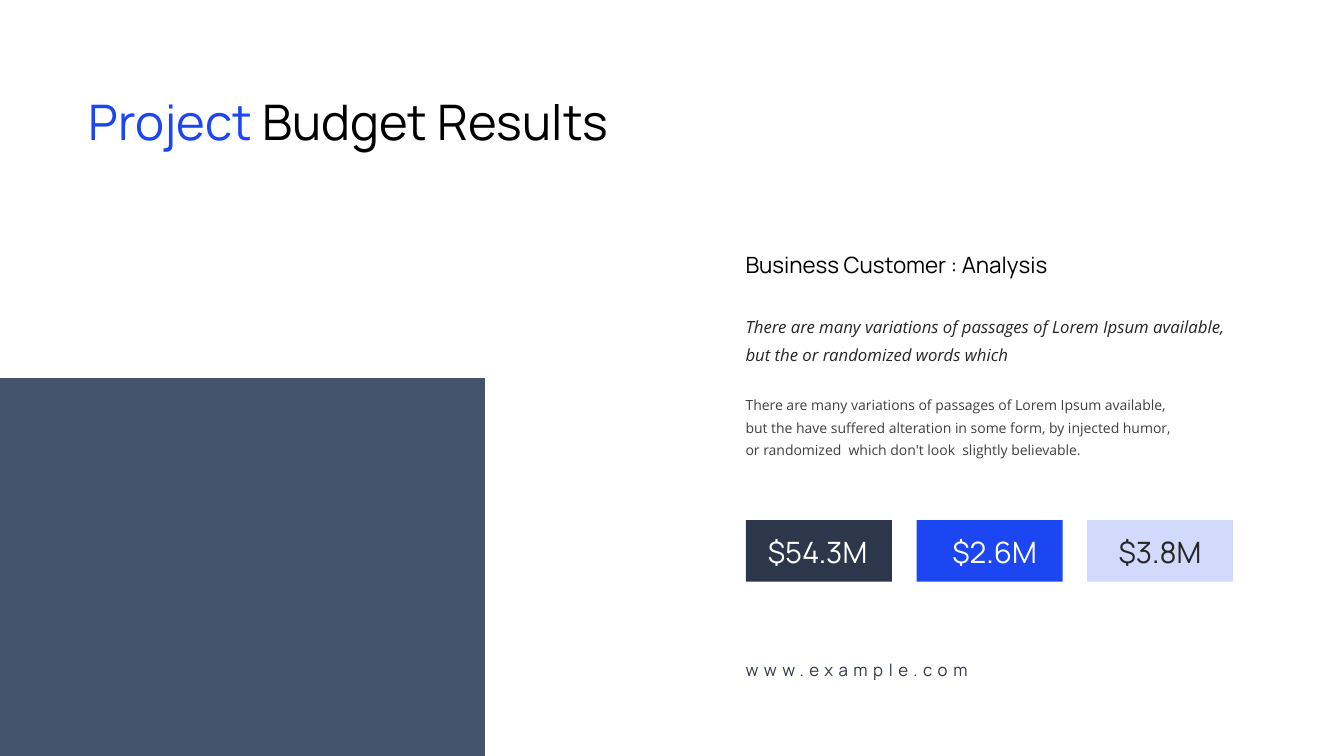
from dataclasses import dataclass

from pptx import Presentation
from pptx.dml.color import RGBColor
from pptx.enum.shapes import MSO_SHAPE
from pptx.enum.text import MSO_ANCHOR, MSO_AUTO_SIZE, PP_ALIGN
from pptx.shapes.autoshape import Shape
from pptx.slide import Slide
from pptx.util import Cm, Pt

HEADING_FONT = "Manrope"
BODY_FONT = "Open Sans"

WHITE = RGBColor(0xFF, 0xFF, 0xFF)
BLACK = RGBColor(0x00, 0x00, 0x00)
BLUE = RGBColor(0x1C, 0x46, 0xF2)
PALE_BLUE = RGBColor(0xD2, 0xDA, 0xFC)
NAVY = RGBColor(0x2D, 0x37, 0x4B)
SLATE = RGBColor(0x44, 0x54, 0x6A)
CHARCOAL = RGBColor(0x26, 0x26, 0x26)
GREY = RGBColor(0x40, 0x40, 0x40)

SLIDE_WIDTH, SLIDE_HEIGHT = 33.87, 19.05
COLUMN_LEFT = 18.54
CARD_LEFT, CARD_TOP, CARD_STEP = 18.8, 13.11, 4.3
CARD_WIDTH, CARD_HEIGHT = 3.68, 1.55
AMOUNT_TOP, AMOUNT_HEIGHT = 13.56, 0.81


@dataclass(frozen=True)
class Passage:
    """A text in the right-hand column; lengths in cm, sizes in points."""
    text: str
    top: float
    width: float
    height: float
    size: float
    color: RGBColor
    font: str = HEADING_FONT
    line_pitch: float | None = None
    italic: bool = False
    tracking: float = 0


@dataclass(frozen=True)
class BudgetCard:
    amount: str
    fill: RGBColor
    color: RGBColor
    indent: float
    amount_width: float


PASSAGES = [
    Passage("Business Customer : Analysis", 6.17, 10.36, 0.94, 16, BLACK,
            line_pitch=20),
    Passage("There are many variations of passages of Lorem Ipsum available, "
            "but the or randomized words which",
            7.65, 12.8, 1.63, 12, CHARCOAL, BODY_FONT, 20, italic=True),
    Passage("There are many variations of passages of Lorem Ipsum available, "
            "but the have suffered alteration in some form, by injected humor, "
            "or randomized  which don't look  slightly believable.",
            9.73, 11.58, 1.9, 10, GREY, BODY_FONT, 16),
    Passage("www.example.com", 16.51, 7.04, 0.76, 12, NAVY, tracking=4),
]

CARDS = [
    BudgetCard("$54.3M", NAVY, WHITE, 0.55, 2.69),
    BudgetCard("$2.6M", BLUE, WHITE, 0.9, 2.16),
    BudgetCard("$3.8M", PALE_BLUE, CHARCOAL, 0.79, 2.36),
]


def add_block(slide: Slide, left: float, top: float, width: float,
              height: float, color: RGBColor) -> None:
    block = slide.shapes.add_shape(MSO_SHAPE.RECTANGLE, Cm(left), Cm(top),
                                   Cm(width), Cm(height))
    block.shadow.inherit = False
    block.fill.solid()
    block.fill.fore_color.rgb = color
    block.line.fill.background()


def add_text(slide: Slide, left: float, passage: Passage) -> Shape:
    box = slide.shapes.add_textbox(Cm(left), Cm(passage.top),
                                   Cm(passage.width), Cm(passage.height))
    box.text_frame.word_wrap = True
    paragraph = box.text_frame.paragraphs[0]
    if passage.line_pitch:
        paragraph.line_spacing = Pt(passage.line_pitch)
    run = paragraph.add_run()
    run.text = passage.text
    if passage.tracking:
        run.font._element.set("spc", str(round(passage.tracking * 100)))
    font = paragraph.font
    font.name = passage.font
    font.size = Pt(passage.size)
    font.italic = passage.italic
    font.color.rgb = passage.color
    return box


def add_title(slide: Slide) -> None:
    title = slide.shapes.title
    title.left, title.top = Cm(1.98), Cm(2.08)
    title.width, title.height = Cm(16), Cm(1.8)
    frame = title.text_frame
    frame.vertical_anchor = MSO_ANCHOR.TOP
    frame.auto_size = MSO_AUTO_SIZE.NONE
    heading = frame.paragraphs[0]
    heading.alignment = PP_ALIGN.LEFT
    heading.line_spacing = Pt(45)
    heading.font.name = HEADING_FONT
    heading.font.size = Pt(35)
    for words, color in (("Project", BLUE), (" Budget Results", BLACK)):
        run = heading.add_run()
        run.text = words
        run.font.color.rgb = color


def add_card(slide: Slide, left: float, card: BudgetCard) -> None:
    add_block(slide, left, CARD_TOP, CARD_WIDTH, CARD_HEIGHT, card.fill)
    amount = add_text(slide, left + card.indent,
                      Passage(card.amount, AMOUNT_TOP, card.amount_width,
                              AMOUNT_HEIGHT, 21, card.color))
    frame = amount.text_frame
    frame.margin_left = frame.margin_right = 0
    frame.margin_top = frame.margin_bottom = 0
    frame.vertical_anchor = MSO_ANCHOR.MIDDLE
    frame.paragraphs[0].line_spacing = 0.9


def main() -> None:
    presentation = Presentation()
    presentation.slide_width = Cm(SLIDE_WIDTH)
    presentation.slide_height = Cm(SLIDE_HEIGHT)
    slide = presentation.slides.add_slide(presentation.slide_layouts[5])

    # Title and corner panel
    add_title(slide)
    add_block(slide, 0, SLIDE_HEIGHT / 2, 12.22, SLIDE_HEIGHT / 2, SLATE)

    # Analysis column
    for passage in PASSAGES:
        add_text(slide, COLUMN_LEFT, passage)

    # Budget figures
    for index, card in enumerate(CARDS):
        add_card(slide, CARD_LEFT + index * CARD_STEP, card)

    presentation.save("out.pptx")


if __name__ == "__main__":
    main()
